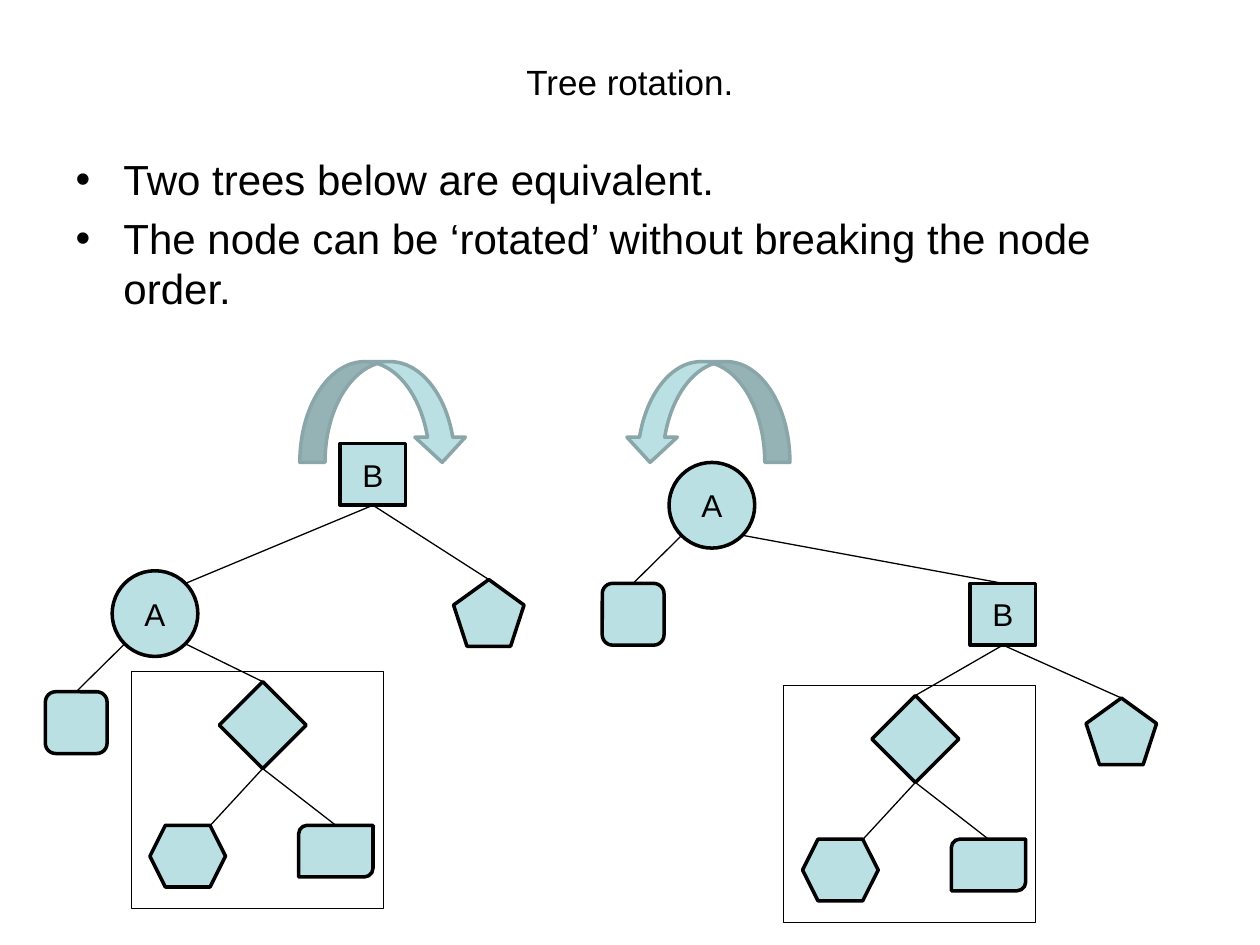
from pptx import Presentation
from pptx import util as u
from pptx.dml.color import RGBColor
from pptx.enum import shapes, text
from pptx.oxml import ns
from lxml import etree

BLACK = RGBColor(0x00, 0x00, 0x00)
NODE_FILL = RGBColor(0xBB, 0xE0, 0xE3)
ARROW_LINE = RGBColor(0x8A, 0xA6, 0xA8)
FONT = "Arial"
KIND = shapes.MSO_SHAPE

# Node kinds: preset, width, height
NODES = {
    "A": (KIND.OVAL, 0.68, 0.68),
    "B": (KIND.RECTANGLE, 0.52, 0.49),
    "rounded": (KIND.ROUNDED_RECTANGLE, 0.49, 0.49),
    "diamond": (KIND.DIAMOND, 0.69, 0.69),
    "pentagon": (KIND.REGULAR_PENTAGON, 0.56, 0.53),
    "hexagon": (KIND.HEXAGON, 0.6, 0.49),
    "cut": (KIND.ROUND_2_DIAG_RECTANGLE, 0.59, 0.41),
}
# Places on a node where an edge can end, as shares of its width and height
TOP, BOTTOM = (0.5, 0), (0.5, 1)
UPPER_RIGHT, LOWER_LEFT, LOWER_RIGHT = (0.85, 0.15), (0.15, 0.85), (0.85, 0.85)
HEXAGON_CORNER = (0.8, 0)


def add_run(paragraph, words, size):
    run = paragraph.add_run()
    run.text = words
    run.font.name = FONT
    run.font.size = u.Pt(size)
    run.font.color.rgb = BLACK


def place(shape, left, top, width, height):
    shape.left, shape.top = u.Inches(left), u.Inches(top)
    shape.width, shape.height = u.Inches(width), u.Inches(height)


def add_outlined(slide, kind, left, top, width, height, fill=NODE_FILL, line=BLACK, weight=2):
    shape = slide.shapes.add_shape(
        kind, u.Inches(left), u.Inches(top), u.Inches(width), u.Inches(height))
    shape.shadow.inherit = False
    if fill is None:
        shape.fill.background()
    else:
        shape.fill.solid()
        shape.fill.fore_color.rgb = fill
    shape.line.color.rgb = line
    shape.line.width = u.Pt(weight)
    return shape


def add_node(slide, name, left, top):
    kind, width, height = NODES[name]
    shape = add_outlined(slide, kind, left, top, width, height)
    if name in ("A", "B"):
        frame = shape.text_frame
        frame.word_wrap = False
        frame.vertical_anchor = text.MSO_ANCHOR.MIDDLE
        frame.paragraphs[0].alignment = text.PP_ALIGN.CENTER
        add_run(frame.paragraphs[0], name, 18)
    return shape


def add_edge(slide, parent, start, child, end=TOP):
    points = []
    for node, (across, down) in ((parent, start), (child, end)):
        points += [int(node.left + across * node.width), int(node.top + down * node.height)]
    edge = slide.shapes.add_connector(shapes.MSO_CONNECTOR.STRAIGHT, *points)
    edge.line.color.rgb = BLACK
    edge.line.width = u.Pt(0.75)
    etree.SubElement(edge._element.spPr, ns.qn("a:effectLst"))


def add_subtree(slide, left, top):
    """Draw the framed middle subtree and return its root."""
    add_outlined(slide, KIND.RECTANGLE, left, top, 2, 1.88, fill=None, weight=0.25)
    root = add_node(slide, "diamond", left + 0.7, top + 0.08)
    hexagon = add_node(slide, "hexagon", left + 0.15, top + 1.22)
    cut = add_node(slide, "cut", left + 1.33, top + 1.22)
    add_edge(slide, root, BOTTOM, hexagon, HEXAGON_CORNER)
    add_edge(slide, root, BOTTOM, cut)
    return root


def add_rotation_arrow(slide, left, top, width, flipped=False):
    arrow = add_outlined(slide, KIND.CURVED_DOWN_ARROW, left, top, width, 0.8, line=ARROW_LINE)
    if flipped:
        arrow._element.spPr.find(ns.qn("a:xfrm")).set("flipH", "1")


def add_left_tree(slide, left, top):
    """B is the root and A its left child."""
    subtree = add_subtree(slide, left + 0.68, top + 2.46)
    node_b = add_node(slide, "B", left + 2.34, top + 0.65)
    node_a = add_node(slide, "A", left + 0.53, top + 1.66)
    rounded = add_node(slide, "rounded", left, top + 2.62)
    pentagon = add_node(slide, "pentagon", left + 3.24, top + 1.73)
    add_edge(slide, node_b, BOTTOM, node_a, UPPER_RIGHT)
    add_edge(slide, node_b, BOTTOM, pentagon)
    add_edge(slide, node_a, LOWER_LEFT, rounded)
    add_edge(slide, node_a, LOWER_RIGHT, subtree)
    add_rotation_arrow(slide, left + 2.02, top, 1.33)


def add_right_tree(slide, left, top):
    """A is the root and B its right child."""
    subtree = add_subtree(slide, left + 1.44, top + 2.57)
    node_a = add_node(slide, "A", left + 0.53, top + 0.8)
    node_b = add_node(slide, "B", left + 2.92, top + 1.76)
    rounded = add_node(slide, "rounded", left, top + 1.76)
    pentagon = add_node(slide, "pentagon", left + 3.84, top + 2.67)
    add_edge(slide, node_a, LOWER_LEFT, rounded)
    add_edge(slide, node_a, LOWER_RIGHT, node_b)
    add_edge(slide, node_b, BOTTOM, subtree)
    add_edge(slide, node_b, BOTTOM, pentagon)
    add_rotation_arrow(slide, left + 0.18, top, 1.31, flipped=True)


def fill_title(title, words):
    place(title, 0.5, 0.3, 9, 0.7)
    frame = title.text_frame
    frame.auto_size = text.MSO_AUTO_SIZE.NONE
    frame.vertical_anchor = text.MSO_ANCHOR.MIDDLE
    frame.paragraphs[0].alignment = text.PP_ALIGN.CENTER
    add_run(frame.paragraphs[0], words, 20)


def fill_body(body, bullets):
    place(body, 0.5, 1.17, 9, 5.53)
    frame = body.text_frame
    frame.auto_size = text.MSO_AUTO_SIZE.NONE
    for index, words in enumerate(bullets):
        paragraph = frame.add_paragraph() if index else frame.paragraphs[0]
        properties = paragraph._p.get_or_add_pPr()
        properties.set("marL", str(u.Inches(0.38)))
        properties.set("indent", str(u.Inches(-0.38)))
        etree.SubElement(properties, ns.qn("a:buChar")).set("char", "•")
        add_run(paragraph, words, 24)


presentation = Presentation()
presentation.slide_width, presentation.slide_height = u.Inches(10), u.Inches(7.5)
slide = presentation.slides.add_slide(presentation.slide_layouts.get_by_name("Title and Content"))

# Title and bullets
fill_title(slide.shapes.title, "Tree rotation.")
fill_body(slide.placeholders[1], [
    "Two trees below are equivalent.",
    "The node can be ‘rotated’ without breaking the node order.",
])

# The two equivalent trees
add_left_tree(slide, 0.36, 2.87)
add_right_tree(slide, 4.78, 2.87)

presentation.save("out.pptx")
